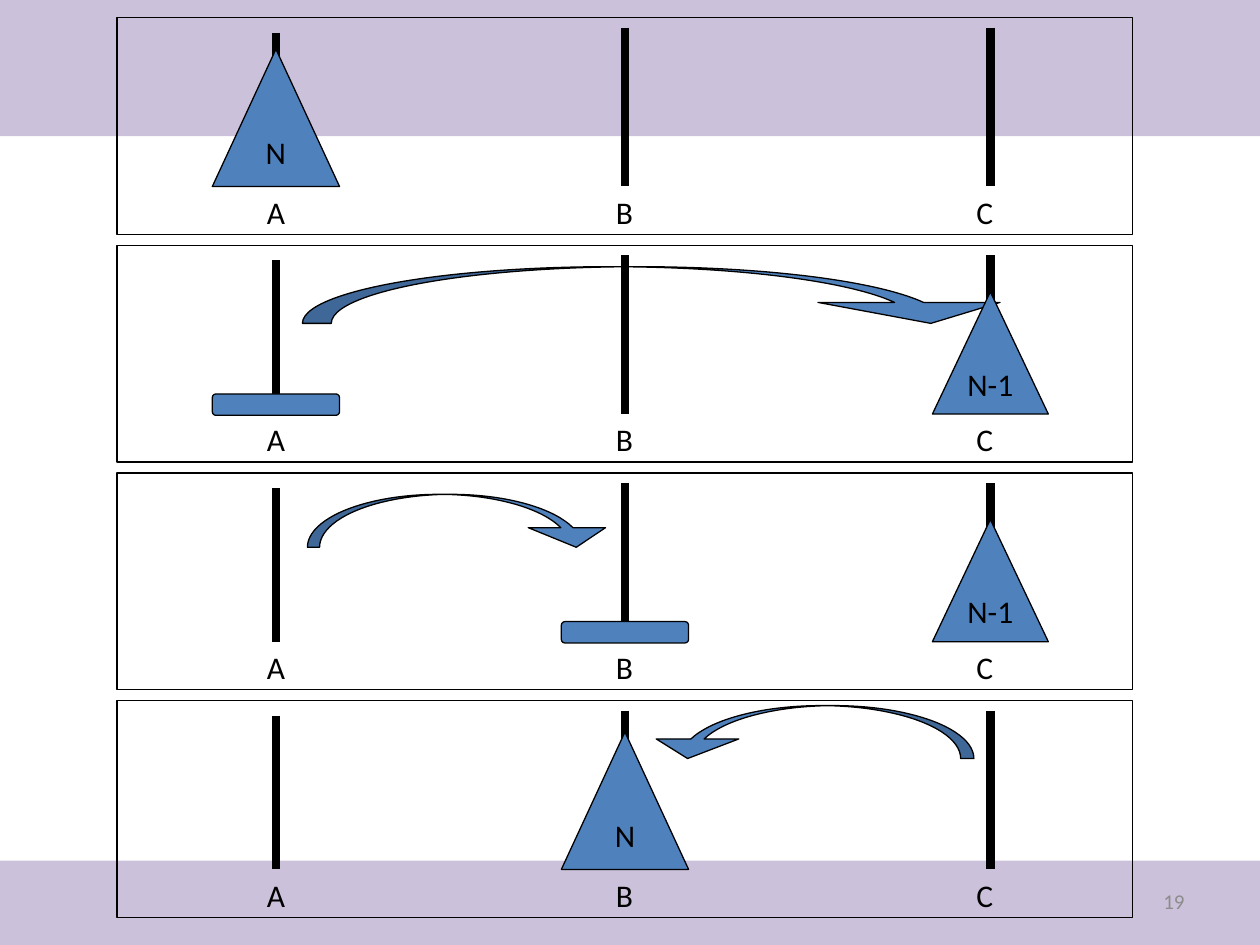
from dataclasses import dataclass

from lxml.etree import SubElement
from pptx import Presentation
from pptx.dml.color import RGBColor
from pptx.enum.shapes import MSO_CONNECTOR, MSO_SHAPE
from pptx.enum.text import MSO_ANCHOR, MSO_AUTO_SIZE, PP_ALIGN
from pptx.oxml.ns import qn
from pptx.util import Inches, Pt


@dataclass(frozen=True)
class Theme:
    font: str = "Calibri"
    band: RGBColor = RGBColor(0xCC, 0xC1, 0xDA)
    piece: RGBColor = RGBColor(0x4F, 0x81, 0xBD)
    ink: RGBColor = RGBColor(0, 0, 0)
    muted: RGBColor = RGBColor(0x8C, 0x8C, 0x8C)
    label_size: Pt = Pt(18)
    number_size: Pt = Pt(12)
    outline: Pt = Pt(0.75)
    peg_width: Pt = Pt(5)


THEME = Theme()

PANEL_LEFT, PANEL_WIDTH, PANEL_HEIGHT = 0.93, 8.06, 1.72
FIRST_TOP, LAST_TOP = 0.14, 5.56
BASE = 1.34  # foot of the pegs, measured from the panel top

# peg name: (peg x, peg top within the panel, label left, label width)
PEGS = {
    "A": (2.19, 0.12, 2.02, 0.37),
    "B": (4.96, 0.08, 4.79, 0.37),
    "C": (7.86, 0.08, 7.65, 0.38),
}
TOWER_SIZES = {"N": (1.01, 1.09), "N-1": (0.92, 0.97)}
DISC_WIDTH, DISC_HEIGHT = 1.01, 0.17

# Each step: disc peg, towers as (peg, text),
# and the move as (left, top in panel, width, height, adjustments, leftward)
STEPS = [
    (None, [("A", "N")], None),
    ("A", [("C", "N-1")], (2.4, 0.17, 5.71, 0.45, (0.51, 3.21, 0.37), False)),
    ("B", [("C", "N-1")], (2.44, 0.17, 2.44, 0.42, (0.23, 1.46, 0.37), False)),
    (None, [("B", "N")], (5.13, 0.04, 2.6, 0.42, (0.25, 1.56, 0.37), True)),
]


def add_run(paragraph, text, size, color):
    run = paragraph.add_run()
    run.text = text
    run.font.name = THEME.font
    run.font.size = size
    run.font.color.rgb = color


def add_box(slide, kind, left, top, width, height, fill=None, outlined=True):
    shape = slide.shapes.add_shape(
        kind, Inches(left), Inches(top), Inches(width), Inches(height))
    shape.shadow.inherit = False
    if fill is None:
        shape.fill.background()
    else:
        shape.fill.solid()
        shape.fill.fore_color.rgb = fill
    if outlined:
        shape.line.color.rgb = THEME.ink
        shape.line.width = THEME.outline
    else:
        shape.line.fill.background()
    return shape


def add_text(slide, text, left, top, width, height):
    """Add a text box and return its frame, set in the label style."""
    box = slide.shapes.add_textbox(
        Inches(left), Inches(top), Inches(width), Inches(height))
    add_run(box.text_frame.paragraphs[0], text, THEME.label_size, THEME.ink)
    return box.text_frame


def add_peg(slide, name, panel_top):
    x, top, label_left, label_width = PEGS[name]
    peg = slide.shapes.add_connector(
        MSO_CONNECTOR.STRAIGHT, Inches(x), Inches(panel_top + top),
        Inches(x), Inches(panel_top + BASE))
    peg.line.color.rgb = THEME.ink
    peg.line.width = THEME.peg_width
    SubElement(peg.element.spPr, qn("a:effectLst"))
    frame = add_text(slide, name, label_left, panel_top + BASE, label_width, 0.4)
    frame.word_wrap = False
    frame.auto_size = MSO_AUTO_SIZE.SHAPE_TO_FIT_TEXT


def add_disc(slide, peg, panel_top):
    add_box(slide, MSO_SHAPE.ROUNDED_RECTANGLE, PEGS[peg][0] - DISC_WIDTH / 2,
            panel_top + BASE - DISC_HEIGHT + 0.01, DISC_WIDTH, DISC_HEIGHT,
            THEME.piece)


def add_tower(slide, peg, text, panel_top):
    width, height = TOWER_SIZES[text]
    tower = add_box(slide, MSO_SHAPE.ISOSCELES_TRIANGLE,
                    PEGS[peg][0] - width / 2, panel_top + BASE - height,
                    width, height, THEME.piece)
    frame = tower.text_frame
    frame.word_wrap = False
    frame.vertical_anchor = MSO_ANCHOR.MIDDLE
    paragraph = frame.paragraphs[0]
    paragraph.alignment = PP_ALIGN.CENTER
    add_run(paragraph, text, THEME.label_size, THEME.ink)


def add_move(slide, move, panel_top):
    left, top, width, height, adjustments, leftward = move
    arrow = add_box(slide, MSO_SHAPE.CURVED_DOWN_ARROW, left, panel_top + top,
                    width, height, THEME.piece)
    for index, value in enumerate(adjustments):
        arrow.adjustments[index] = value
    if leftward:
        arrow.element.spPr.find(qn("a:xfrm")).set("flipH", "1")


def add_step(slide, panel_top, disc_peg, towers, move):
    for name in PEGS:
        add_peg(slide, name, panel_top)
    add_box(slide, MSO_SHAPE.RECTANGLE, PANEL_LEFT, panel_top,
            PANEL_WIDTH, PANEL_HEIGHT)
    if disc_peg:
        add_disc(slide, disc_peg, panel_top)
    if move:
        add_move(slide, move, panel_top)
    for peg, text in towers:
        add_tower(slide, peg, text, panel_top)


def add_slide_number(slide, text):
    box = slide.shapes.add_textbox(
        Inches(7.17), Inches(6.95), Inches(2.33), Inches(0.4))
    frame = box.text_frame
    frame.word_wrap = True
    frame.vertical_anchor = MSO_ANCHOR.MIDDLE
    paragraph = frame.paragraphs[0]
    paragraph.alignment = PP_ALIGN.RIGHT
    add_run(paragraph, text, THEME.number_size, THEME.muted)


def main():
    presentation = Presentation()
    presentation.slide_width = Inches(10)
    presentation.slide_height = Inches(7.5)
    slide = presentation.slides.add_slide(presentation.slide_layouts[6])

    for top, height in ((0, 1.08), (6.83, 0.67)):
        add_box(slide, MSO_SHAPE.RECTANGLE, 0, top, 10, height,
                THEME.band, outlined=False)
    add_slide_number(slide, "19")

    pitch = (LAST_TOP - FIRST_TOP) / (len(STEPS) - 1)
    for index, step in enumerate(STEPS):
        add_step(slide, FIRST_TOP + index * pitch, *step)

    presentation.save("out.pptx")


if __name__ == "__main__":
    main()
